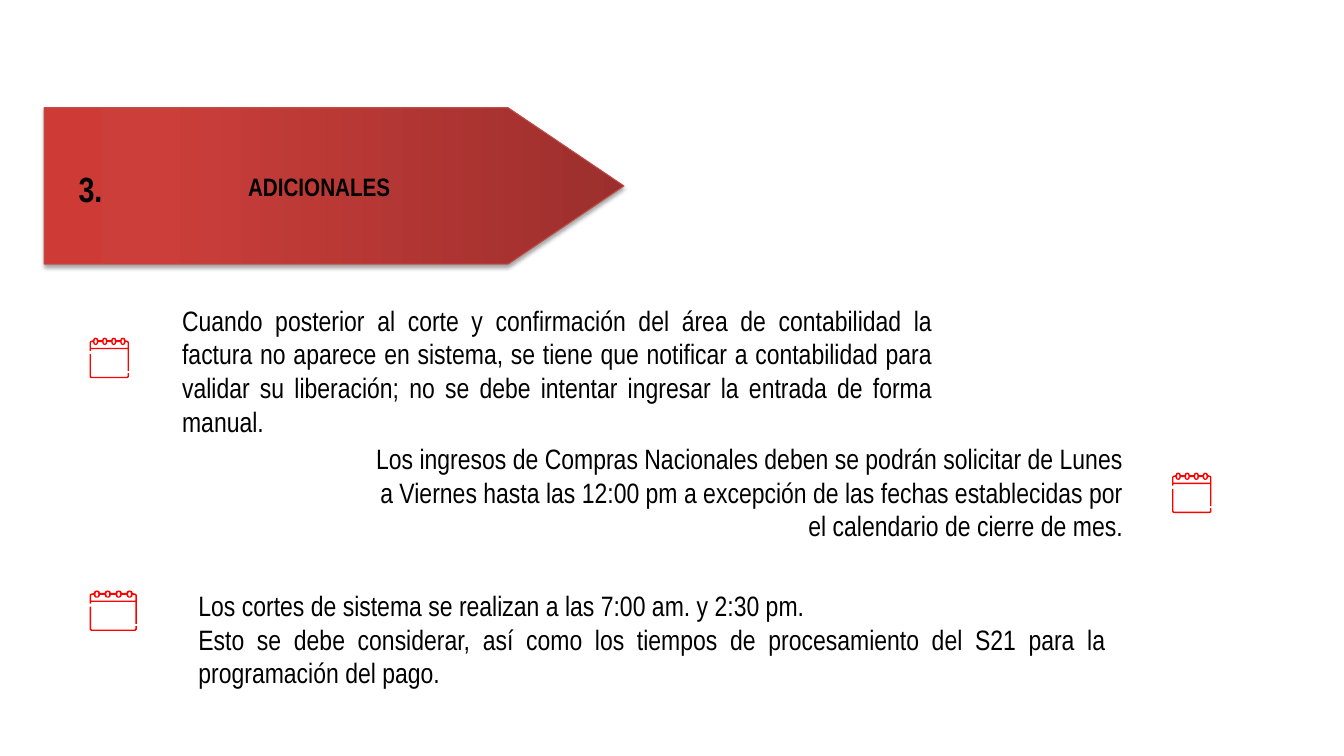
from copy import deepcopy
from dataclasses import dataclass
from math import cos, radians, sin

from lxml.etree import SubElement
from pptx import Presentation
from pptx.dml.color import RGBColor
from pptx.enum.shapes import MSO_SHAPE
from pptx.enum.text import MSO_AUTO_SIZE, PP_ALIGN
from pptx.oxml.ns import qn
from pptx.util import Cm, Pt


@dataclass(frozen=True)
class Theme:
    """Colours, font and type sizes of the slide."""

    font: str = "Arial Narrow"
    text: RGBColor = RGBColor(0, 0, 0)
    icon: RGBColor = RGBColor(0xFF, 0, 0)
    banner_line: RGBColor = RGBColor(0xBF, 0x4C, 0x48)
    banner_stops: tuple = ((0, "9C2F2D"), (0.8, "CB3E3A"), (1, "CE3B37"))
    body_size: Pt = Pt(20)
    title_size: Pt = Pt(18)
    number_size: Pt = Pt(25)


THEME = Theme()
ICON_WIDTH, ICON_HEIGHT = 390, 400
RING_CENTRES = [60 + 90 * index for index in range(4)]
NOTES = [
    (4.34, 7.52, 19.41, PP_ALIGN.JUSTIFY, [
        "Cuando posterior al corte y confirmación del área de contabilidad la factura no aparece "
        "en sistema, se tiene que notificar a contabilidad para validar su liberación; no se debe "
        "intentar ingresar la entrada de forma manual."]),
    (9.14, 11, 19.41, PP_ALIGN.RIGHT, [
        "Los ingresos de Compras Nacionales deben se podrán solicitar de Lunes a Viernes hasta las "
        "12:00 pm a excepción de las fechas establecidas por el calendario de cierre de mes."]),
    (4.75, 14.71, 23.37, PP_ALIGN.JUSTIFY, [
        "Los cortes de sistema se realizan a las 7:00 am. y 2:30 pm.",
        "Esto se debe considerar, así como los tiempos de procesamiento del S21 para la "
        "programación del pago."]),
]
CALENDARS = [(2.26, 8.51, 0.99), (29.54, 11.91, 0.99), (2.26, 14.88, 1.19)]


def add_text(page, left, top, width, height, lines, size, align=PP_ALIGN.LEFT, bold=False):
    """Add a wrapped text box with one paragraph per line."""
    box = page.shapes.add_textbox(Cm(left), Cm(top), Cm(width), Cm(height))
    frame = box.text_frame
    frame.word_wrap = True
    frame.auto_size = MSO_AUTO_SIZE.SHAPE_TO_FIT_TEXT
    frame.text = "\n".join(lines)
    for para in frame.paragraphs:
        para.alignment = align
        para.font.name = THEME.font
        para.font.size = size
        para.font.bold = bold
        para.font.color.rgb = THEME.text


def add_drop_shadow(shape):
    """Give a shape a soft shadow that falls straight down."""
    shape.shadow.inherit = False
    effects = shape._element.spPr.find(qn("a:effectLst"))
    shadow = SubElement(effects, qn("a:outerShdw"), blurRad=str(Pt(3.1)), dist=str(Pt(1.8)),
                        dir="5400000", rotWithShape="0")
    colour = SubElement(shadow, qn("a:srgbClr"), val="000000")
    SubElement(colour, qn("a:alpha"), val="35000")


def add_banner(page, left, top, width, height):
    """Add the gradient arrow that points right."""
    banner = page.shapes.add_shape(MSO_SHAPE.FLOWCHART_OFFPAGE_CONNECTOR,
                                   Cm(left), Cm(top), Cm(width), Cm(height))
    banner.rotation = 270
    banner.fill.gradient()
    banner.fill.gradient_angle = 90
    stop_list = banner._element.spPr.find(qn("a:gradFill")).find(qn("a:gsLst"))
    stop_list.append(deepcopy(stop_list[0]))
    for stop, (position, colour) in zip(banner.fill.gradient_stops, THEME.banner_stops):
        stop.position = position
        stop.color.rgb = RGBColor.from_string(colour)
    banner.line.color.rgb = THEME.banner_line
    banner.line.width = Pt(0.75)
    add_drop_shadow(banner)


def arc(centre_x, centre_y, radius_x, radius_y, start, end, steps=8):
    """Return points along an elliptical arc, with angles in degrees clockwise."""
    angles = [radians(start + (end - start) * step / steps) for step in range(steps + 1)]
    return [(centre_x + radius_x * cos(angle), centre_y + radius_y * sin(angle))
            for angle in angles]


def calendar_top():
    """Return the contours of the calendar header, rings and sides."""
    outline = [(0, 130)] + arc(20, 50, 20, 20, 180, 270)
    header = [(12, 100), (12, 50), (20, 42)]
    holes = []
    for centre in RING_CENTRES:
        outline += arc(centre, 25, 25, 25, 180, 360)
        header += arc(centre, 45, 25, 27, 180, 0)
        holes.append(arc(centre, 37, 12, 24, 0, 360, 16))
    outline += arc(370, 50, 20, 20, 270, 360)
    outline += [(390, 330), (377, 330), (377, 113), (13, 113), (13, 130)]
    header += [(370, 42), (378, 50), (378, 100)]
    return [outline, header] + holes


def calendar_bottom():
    """Return the contour of the calendar base."""
    outline = [(0, 160)] + arc(20, 380, 20, 20, 180, 90) + arc(370, 380, 20, 20, 90, 0)
    return [outline + [(390, 350), (377, 350)] + arc(367, 377, 10, 10, 0, 90)
            + arc(23, 377, 10, 10, 90, 180) + [(13, 160)]]


def add_outline(page, contours, left, top, scale):
    """Add one filled freeform made of closed contours."""
    first, *others = contours
    builder = page.shapes.build_freeform(*first[0], scale=scale)
    builder.add_line_segments(first[1:], close=True)
    for contour in others:
        builder.move_to(*contour[0])
        builder.add_line_segments(contour[1:], close=True)
    shape = builder.convert_to_shape(Cm(left), Cm(top))
    shape.shadow.inherit = False
    shape.fill.solid()
    shape.fill.fore_color.rgb = THEME.icon
    shape.line.fill.background()


def add_calendar(page, left, top, width):
    """Add a calendar icon of the given width."""
    scale = (Cm(width) / ICON_WIDTH, Cm(1.02) / ICON_HEIGHT)
    for contours in (calendar_top(), calendar_bottom()):
        add_outline(page, contours, left, top, scale)


def main():
    """Build the slide and save the deck."""
    deck = Presentation()
    deck.slide_width, deck.slide_height = Cm(33.87), Cm(19.05)
    page = deck.slides.add_slide(deck.slide_layouts[6])
    add_banner(page, 6.45, -2.62, 3.94, 14.61)
    add_text(page, 2.95, 4.19, 10.19, 1.02, ["ADICIONALES"], THEME.title_size,
             PP_ALIGN.CENTER, bold=True)
    add_text(page, 1.73, 4.09, 1.22, 1.32, ["3."], THEME.number_size, bold=True)
    for calendar, (left, top, width, align, lines) in zip(CALENDARS, NOTES):
        add_calendar(page, *calendar)
        add_text(page, left, top, width, 2.82, lines, THEME.body_size, align)
    deck.save("out.pptx")


if __name__ == "__main__":
    main()
